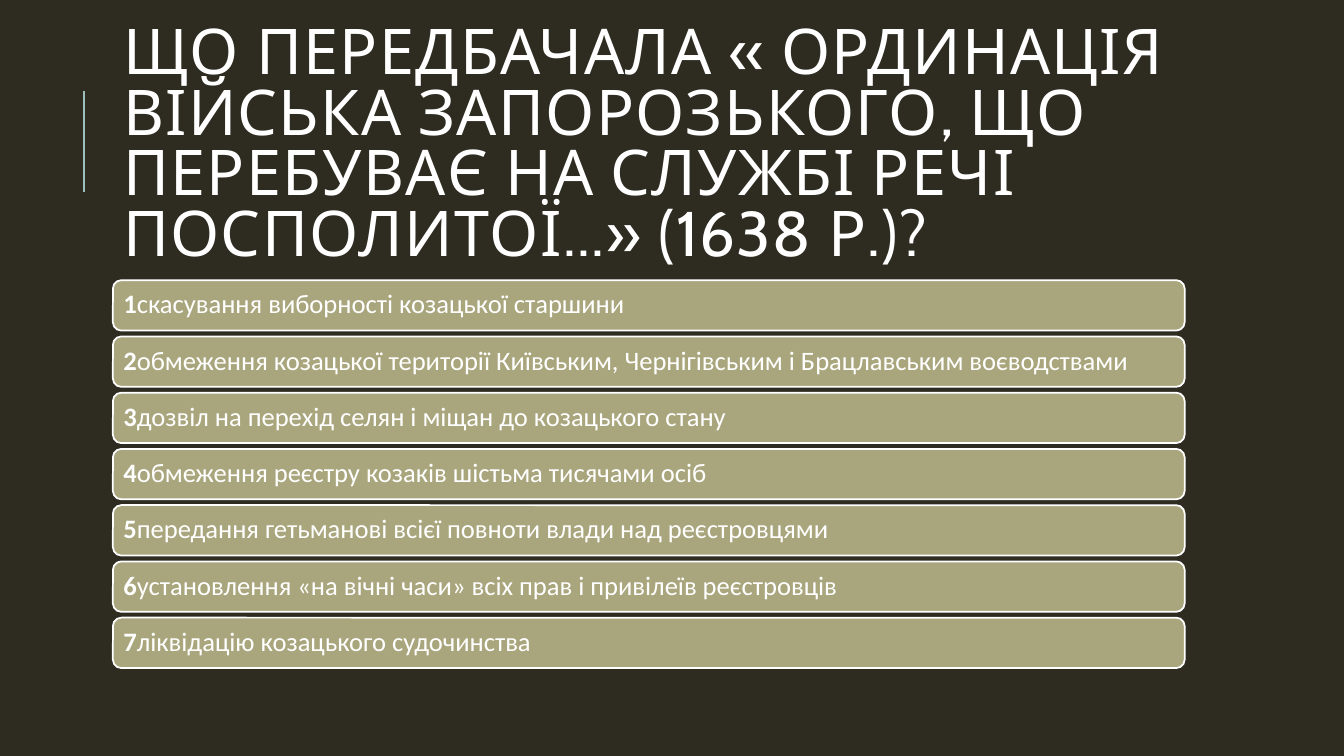
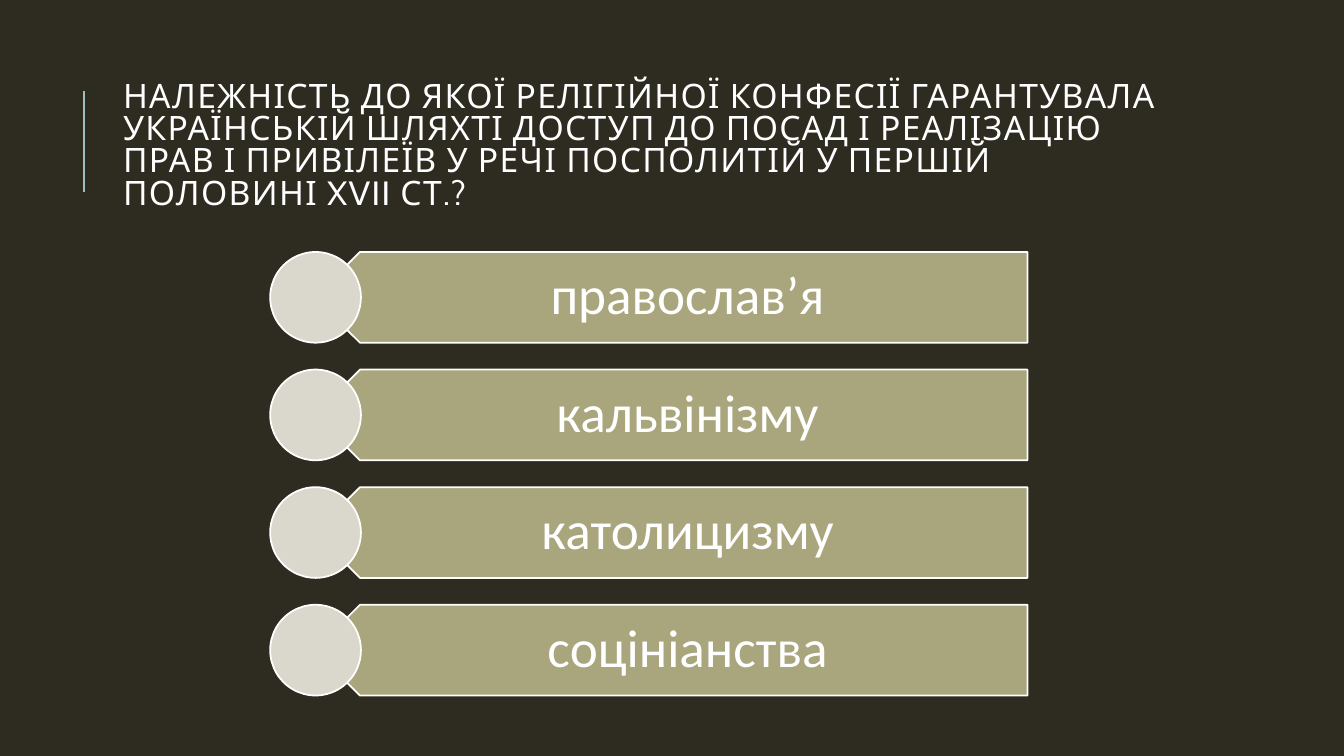
import pptx
import pptx.dml.color
import pptx.enum.shapes
import pptx.enum.text
import pptx.util
from lxml import etree
from pptx.oxml.ns import qn

Inches = pptx.util.Inches
Pt = pptx.util.Pt
SHAPE = pptx.enum.shapes.MSO_SHAPE
ALIGN = pptx.enum.text.PP_ALIGN

BACKGROUND, ACCENT, WHITE = "2E2B21", "9CBEBD", "FFFFFF"
BAR, CIRCLE = "A9A57C", "DAD8CC"
TITLE_BOX = (1.12, 0.64, 10.63, 1.64)

PROVISIONS = [
    "скасування виборності козацької старшини",
    "обмеження козацької території Київським, Чернігівським і Брацлавським воєводствами",
    "дозвіл на перехід селян і міщан до козацького стану",
    "обмеження реєстру козаків шістьма тисячами осіб",
    "передання гетьманові всієї повноти влади над реєстровцями",
    "установлення «на вічні часи» всіх прав і привілеїв реєстровців",
    "ліквідацію козацького судочинства",
]
CONFESSIONS = ["православ’я", "кальвінізму", "католицизму", "соцініанства"]


def color(value):
    return pptx.dml.color.RGBColor.from_string(value)


def box(left, top, width, height):
    return [Inches(length) for length in (left, top, width, height)]


def set_all(target, **values):
    for key, value in values.items():
        setattr(target, key, value)


def write(frame, runs, size, font, spacing, align=ALIGN.LEFT, insets=None):
    """Fill a text frame with one paragraph of (text, bold) runs."""
    set_all(frame, word_wrap=True,
            auto_size=pptx.enum.text.MSO_AUTO_SIZE.NONE,
            vertical_anchor=pptx.enum.text.MSO_ANCHOR.MIDDLE)
    if insets:
        sides = ("margin_left", "margin_top", "margin_right", "margin_bottom")
        set_all(frame, **dict(zip(sides, map(Inches, insets))))
    paragraph = frame.paragraphs[0]
    set_all(paragraph, alignment=align, line_spacing=spacing)
    for text, bold in runs:
        run = paragraph.add_run()
        run.text = text
        set_all(run.font, size=Pt(size), name=font, bold=bold)
        run.font.color.rgb = color(WHITE)
    return paragraph


def add_figure(slide, preset, place, fill):
    figure = slide.shapes.add_shape(preset, *box(*place))
    figure.shadow.inherit = False
    figure.fill.solid()
    figure.fill.fore_color.rgb = color(fill)
    figure.line.color.rgb = color(WHITE)
    figure.line.width = Pt(1.25)
    return figure


def add_accent_line(slide):
    accent = slide.shapes.add_connector(
        pptx.enum.shapes.MSO_CONNECTOR.STRAIGHT,
        Inches(0.83), Inches(1.9), Inches(0.83), Inches(0.9))
    accent.line.color.rgb = color(ACCENT)
    accent.line.width = Pt(1.5)
    etree.SubElement(accent._element.spPr, qn("a:effectLst"))


def add_question(deck, question, size):
    """Add a slide with the accent line and the question as its title."""
    slide = deck.slides.add_slide(deck.slide_layouts.get_by_name("Title Only"))
    add_accent_line(slide)
    title = slide.shapes.title
    set_all(title, **dict(zip(("left", "top", "width", "height"), box(*TITLE_BOX))))
    paragraph = write(title.text_frame, [(question, False)], size, "Cabin", 0.8)
    for run in paragraph.runs:
        run.font._element.set("spc", "100")
    return slide


def add_provisions(slide, provisions):
    for index, provision in enumerate(provisions):
        place = (1.12, 2.78 + index * 0.558, 10.63, 0.5)
        bar = add_figure(slide, SHAPE.ROUNDED_RECTANGLE, place, BAR)
        write(bar.text_frame, [(str(index + 1), True), (provision, False)],
              19, "Calibri", 0.9, insets=(0.08, 0.08, 0.08, 0.08))


def add_confessions(slide, confessions):
    for index, confession in enumerate(confessions):
        top = 2.5 + index * 3.5 / 3
        arrow = add_figure(slide, SHAPE.PENTAGON, (3.12, top, 7.07, 0.9), BAR)
        arrow.rotation = 180
        # The label is a separate box so that it stays upright on the turned arrow.
        label = slide.shapes.add_textbox(*box(3.35, top, 6.84, 0.9))
        write(label.text_frame, [(confession, False)], 38, "Calibri", 0.9,
              ALIGN.CENTER, (0.4, 0.16, 0.3, 0.16))
        add_figure(slide, SHAPE.OVAL, (2.68, top, 0.9, 0.9), CIRCLE)


def main():
    deck = pptx.Presentation()
    set_all(deck, slide_width=Inches(13.33), slide_height=Inches(7.5))
    background = deck.slide_master.background.fill
    background.solid()
    background.fore_color.rgb = color(BACKGROUND)

    ordinance = add_question(
        deck, "ЩО ПЕРЕДБАЧАЛА « ОРДИНАЦІЯ ВІЙСЬКА ЗАПОРОЗЬКОГО, ЩО ПЕРЕБУВАЄ "
        "НА СЛУЖБІ РЕЧІ ПОСПОЛИТОЇ...» (1638 Р.)?", 45)
    add_provisions(ordinance, PROVISIONS)

    religion = add_question(
        deck, "НАЛЕЖНІСТЬ ДО ЯКОЇ РЕЛІГІЙНОЇ КОНФЕСІЇ ГАРАНТУВАЛА УКРАЇНСЬКІЙ "
        "ШЛЯХТІ ДОСТУП ДО ПОСАД І РЕАЛІЗАЦІЮ ПРАВ І ПРИВІЛЕЇВ У РЕЧІ "
        "ПОСПОЛИТІЙ У ПЕРШІЙ ПОЛОВИНІ XVII СТ.?", 24)
    add_confessions(religion, CONFESSIONS)
    deck.save("out.pptx")


if __name__ == "__main__":
    main()
